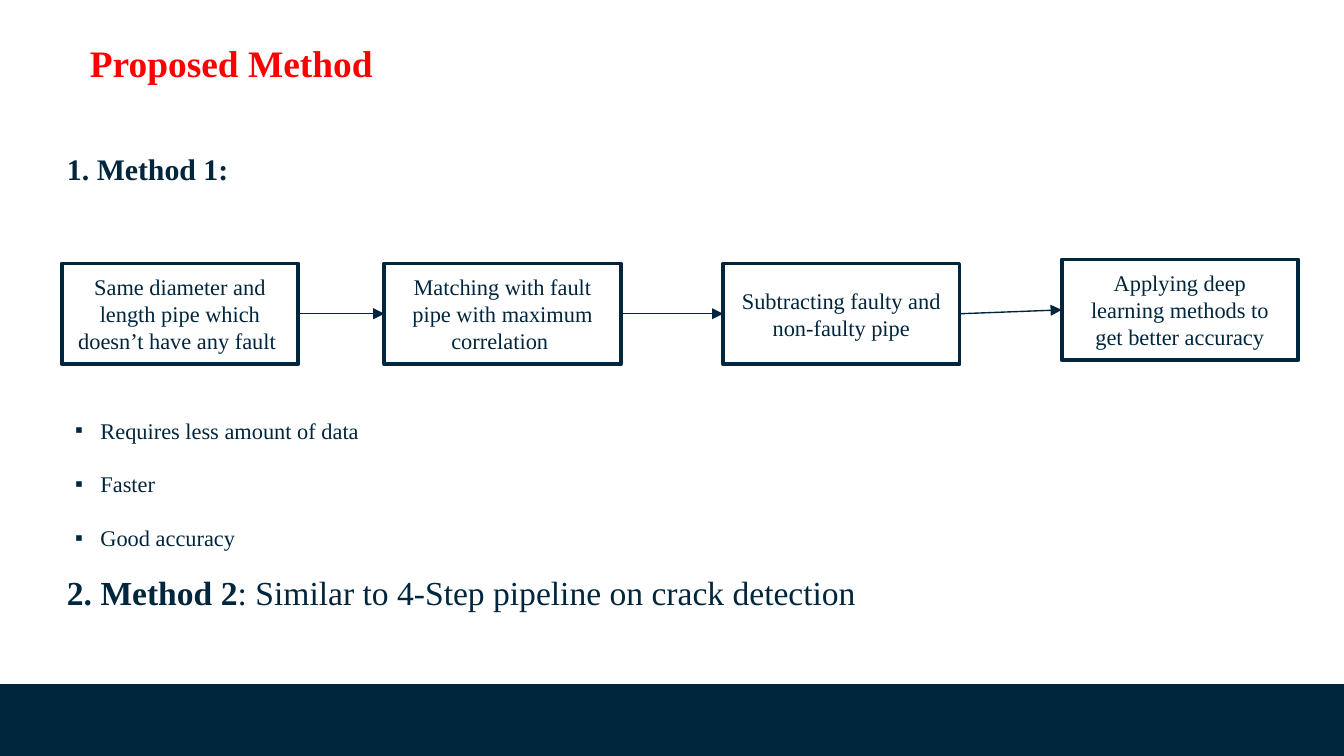
from dataclasses import dataclass

from lxml import etree
from pptx import Presentation
from pptx.dml.color import RGBColor
from pptx.enum.shapes import MSO_CONNECTOR, MSO_SHAPE
from pptx.enum.text import MSO_ANCHOR, MSO_AUTO_SIZE, PP_ALIGN
from pptx.oxml.ns import qn
from pptx.util import Pt

RECT = MSO_SHAPE.RECTANGLE
LINE = MSO_CONNECTOR.STRAIGHT
TOP, MIDDLE = MSO_ANCHOR.TOP, MSO_ANCHOR.MIDDLE
LEFT, CENTER = PP_ALIGN.LEFT, PP_ALIGN.CENTER
FIXED = MSO_AUTO_SIZE.NONE


@dataclass(frozen=True)
class Theme:
    font: str = "Times New Roman"
    navy: RGBColor = RGBColor(0x00, 0x26, 0x3E)
    wire: RGBColor = RGBColor(0x00, 0x25, 0x3D)
    red: RGBColor = RGBColor(0xFF, 0x00, 0x00)
    white: RGBColor = RGBColor(0xFF, 0xFF, 0xFF)
    title: float = 20
    first: float = 16
    second: float = 18
    body: float = 12


@dataclass(frozen=True)
class Step:
    text: str
    left: float
    top: float = 141.1


THEME = Theme()
WIDE, HIGH = 720, 405
BAR = 366.5
STEP_W, STEP_H = 126.7, 54

STEPS = [
    Step("Same diameter and length pipe which doesn’t have any fault ", 33.1),
    Step("Matching with fault pipe with maximum correlation ", 205.9),
    Step("Subtracting faulty and non-faulty pipe", 387.4),
    Step("Applying deep learning methods to get better accuracy", 568.8, 139),
]
GAINS = ["Requires less amount of data", "Faster", "Good accuracy"]


def write(para, text: str, *, size: float, bold: bool = False,
          color: RGBColor = THEME.navy, align=LEFT) -> None:
    """Add one formatted run to a paragraph."""
    para.alignment = align
    run = para.add_run()
    run.text = text
    font = run.font
    font.name, font.size, font.bold = THEME.font, Pt(size), bold
    font.color.rgb = color


def place(shape, left: float, top: float, width: float, height: float) -> None:
    shape.left, shape.top = Pt(left), Pt(top)
    shape.width, shape.height = Pt(width), Pt(height)


def label(slide, left: float, top: float, width: float, height: float):
    """Add a wrapping text box and return its first paragraph."""
    box = slide.shapes.add_textbox(Pt(left), Pt(top), Pt(width), Pt(height))
    box.text_frame.word_wrap = True
    return box.text_frame.paragraphs[0]


def block(slide, left: float, top: float, width: float, height: float,
          fill: RGBColor):
    shape = slide.shapes.add_shape(RECT, Pt(left), Pt(top), Pt(width), Pt(height))
    shape.shadow.inherit = False
    shape.fill.solid()
    shape.fill.fore_color.rgb = fill
    shape.line.fill.background()
    return shape


def draw_step(slide, step: Step):
    box = block(slide, step.left, step.top, STEP_W, STEP_H, THEME.white)
    box.line.color.rgb = THEME.navy
    box.line.width = Pt(2)
    frame = box.text_frame
    frame.word_wrap = True
    frame.vertical_anchor = MIDDLE
    write(frame.paragraphs[0], step.text, size=THEME.body, align=CENTER)
    return box


def join(slide, start, end) -> None:
    """Run an arrow from the right side of one box to the left of the next."""
    wire = slide.shapes.add_connector(LINE, 0, 0, 0, 0)
    wire.begin_connect(start, 3)
    wire.end_connect(end, 1)
    wire.line.color.rgb = THEME.wire
    wire.line.width = Pt(0.75)
    etree.SubElement(wire.line._get_or_add_ln(), qn("a:tailEnd"), type="triangle")
    etree.SubElement(wire._element.spPr, qn("a:effectLst"))


def bullet(para, indent: float) -> None:
    props = para._p.get_or_add_pPr()
    props.set("marL", str(Pt(indent)))
    props.set("indent", str(-Pt(indent)))
    etree.SubElement(props, qn("a:buChar"), char="▪")


def main() -> None:
    deck = Presentation()
    deck.slide_width, deck.slide_height = Pt(WIDE), Pt(HIGH)
    slide = deck.slides.add_slide(deck.slide_layouts[1])
    title, body = slide.placeholders

    # Footer bar
    block(slide, 0, BAR, WIDE, HIGH - BAR, THEME.navy)

    # Title
    place(title, 48.2, 21.6, 170, 36)
    frame = title.text_frame
    frame.auto_size = FIXED
    frame.vertical_anchor = TOP
    frame.margin_left = frame.margin_right = 0
    frame.margin_top = frame.margin_bottom = 0
    write(frame.paragraphs[0], "Proposed Method", size=THEME.title,
          bold=True, color=THEME.red)

    # First method and its steps
    head = label(slide, 28.8, 77, 118, 26.6)
    write(head, "1. Method 1:", size=THEME.first, bold=True)
    boxes = [draw_step(slide, step) for step in STEPS]
    for start, end in zip(boxes, boxes[1:]):
        join(slide, start, end)

    # Benefits
    place(body, 33.1, 219.6, 568.8, 80)
    frame = body.text_frame
    frame.auto_size = FIXED
    for i, gain in enumerate(GAINS):
        para = frame.add_paragraph() if i else frame.paragraphs[0]
        bullet(para, 13.5)
        para.space_before = Pt(14.5 if i else 0)
        write(para, gain, size=THEME.body)

    # Second method
    head = label(slide, 28.8, 303.1, 607, 29)
    write(head, "2. Method 2", size=THEME.second, bold=True)
    write(head, ": Similar to 4-Step pipeline on crack detection", size=THEME.second)

    deck.save("out.pptx")


if __name__ == "__main__":
    main()
